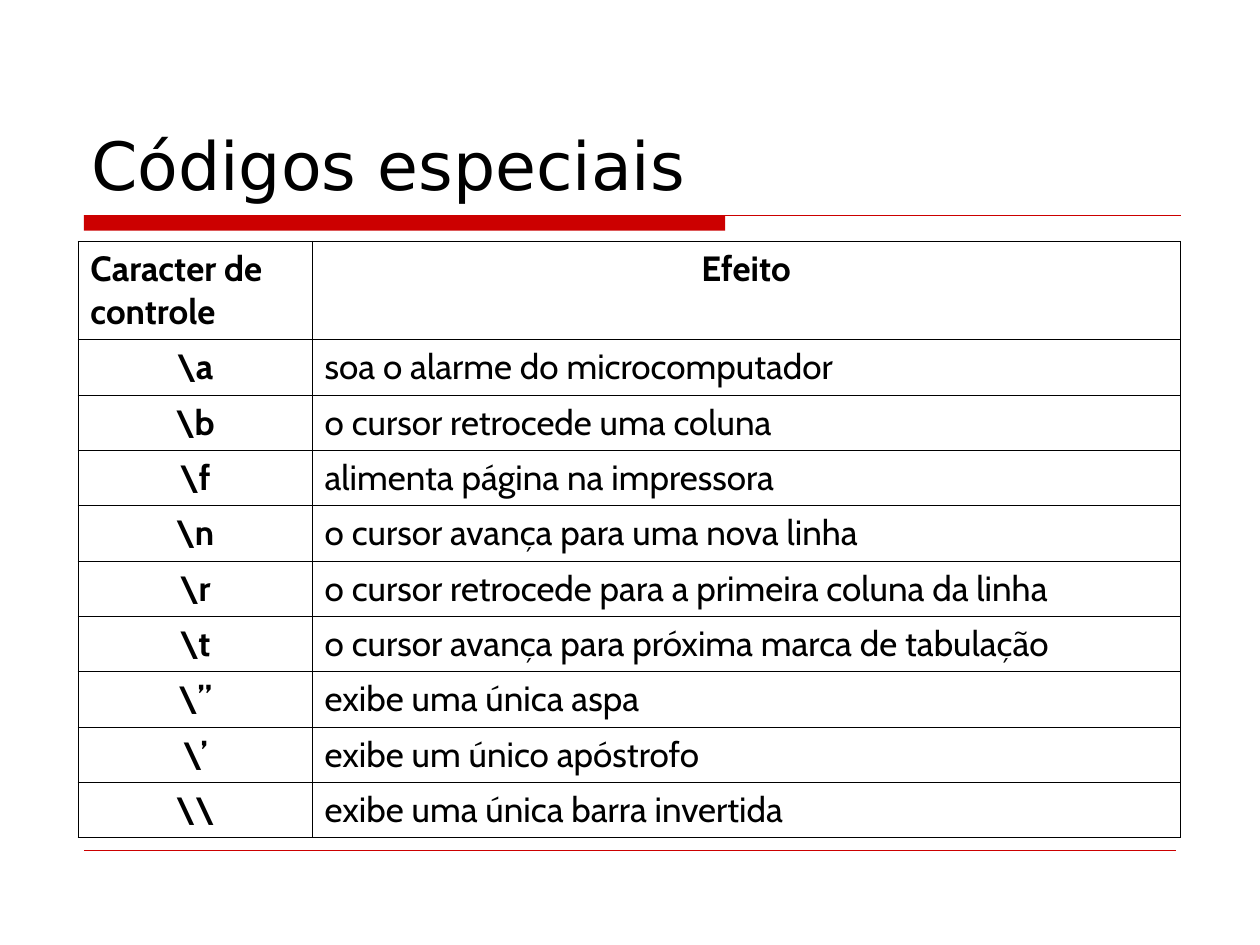
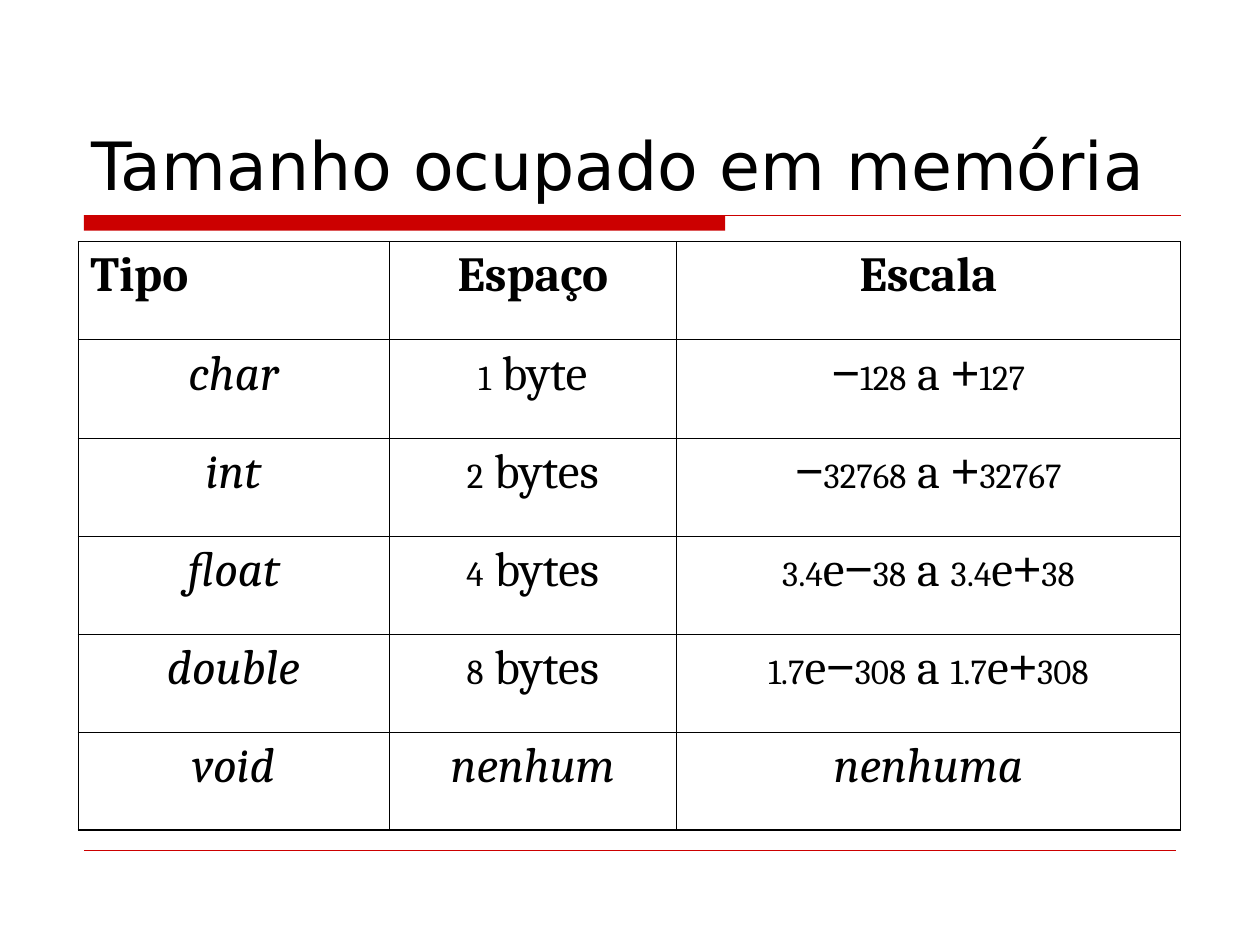
"""Build two slides on C escape codes and the memory taken by C types."""
import itertools
from dataclasses import dataclass, replace

import pptx
import pptx.dml.color
import pptx.enum.shapes
import pptx.enum.text
import pptx.oxml
import pptx.oxml.ns
import pptx.util
from lxml import etree

Cm = pptx.util.Cm
Pt = pptx.util.Pt
Align = pptx.enum.text.PP_ALIGN

BLACK = pptx.dml.color.RGBColor(0x00, 0x00, 0x00)
WHITE = pptx.dml.color.RGBColor(0xFF, 0xFF, 0xFF)
RED = pptx.dml.color.RGBColor(0xCC, 0x00, 0x00)

OUTER_RULE, HEADER_RULE, INNER_RULE = Pt(0.96), Pt(0.45), Pt(0.34)
TABLE_LEFT, TABLE_TOP, HEADER_HEIGHT = Cm(1.57), Cm(4.87), Cm(1.98)


@dataclass(frozen=True)
class Style:
    """Character formatting of a run."""
    font: str
    size: float
    bold: bool = False
    italic: bool = False


@dataclass(frozen=True)
class Piece:
    """A run of text with its style."""
    text: str
    style: Style


@dataclass(frozen=True)
class Entry:
    """The content of one table cell."""
    pieces: list[Piece]
    align: Align = Align.CENTER


@dataclass(frozen=True)
class Rule:
    """A horizontal red rule."""
    left: float
    right: float
    top: float
    weight: float


@dataclass(frozen=True)
class Topic:
    """One slide: a title over a table."""
    title: str
    widths: list[float]
    body_height: float
    rows: list[list[Entry]]


TITLE = Style("DejaVu Sans", 38)
CODE_TEXT = Style("Cabin", 20)
CODE_BOLD = replace(CODE_TEXT, bold=True)
TYPE_TEXT = Style("Cambria", 28)
TYPE_BOLD = replace(TYPE_TEXT, bold=True)
TYPE_ITALIC = replace(TYPE_TEXT, italic=True)
NUMBER = Style("Cambria", 20)
SIGN = Style("Arial", 28)

RULES = [Rule(1.69, 23.81, 4.34, 0.75), Rule(1.69, 23.7, 17.15, 0.25)]

CODES = [
    ("\\a", "soa o alarme do microcomputador"),
    ("\\b", "o cursor retrocede uma coluna"),
    ("\\f", "alimenta página na impressora"),
    ("\\n", "o cursor avança para uma nova linha"),
    ("\\r", "o cursor retrocede para a primeira coluna da linha"),
    ("\\t", "o cursor avança para próxima marca de tabulação"),
    ("\\”", "exibe uma única aspa"),
    ("\\’", "exibe um único apóstrofo"),
    ("\\\\", "exibe uma única barra invertida"),
]

TYPES = [
    ("char", "1 byte", "−128 a +127"),
    ("int", "2 bytes", "−32768 a +32767"),
    ("float", "4 bytes", "3.4e−38 a 3.4e+38"),
    ("double", "8 bytes", "1.7e−308 a 1.7e+308"),
]


def plain(text: str, style: Style, align: Align = Align.CENTER) -> Entry:
    """Return an entry made of one run."""
    return Entry([Piece(text, style)], align)


def symbol_style(symbol: str) -> Style:
    """Return the style of a symbol in a measured value."""
    if symbol in "−+":
        return SIGN
    return NUMBER if symbol.isdigit() or symbol == "." else TYPE_TEXT


def measure(text: str) -> Entry:
    """Return an entry with digits, signs and words styled apart."""
    groups = itertools.groupby(text, symbol_style)
    return Entry([Piece("".join(symbols), style) for style, symbols in groups])


def write(paragraph, pieces: list[Piece]) -> None:
    """Add the pieces to a paragraph run by run."""
    for piece in pieces:
        run = paragraph.add_run()
        run.text = piece.text
        run.font.name = piece.style.font
        run.font.size = Pt(piece.style.size)
        run.font.bold = piece.style.bold
        run.font.italic = piece.style.italic
        run.font.color.rgb = BLACK


def draw_rule(slide, rule: Rule) -> None:
    """Draw a horizontal rule."""
    line = slide.shapes.add_connector(
        pptx.enum.shapes.MSO_CONNECTOR.STRAIGHT,
        Cm(rule.left), Cm(rule.top), Cm(rule.right), Cm(rule.top))
    line.line.color.rgb = RED
    line.line.width = Pt(rule.weight)
    properties = line._element.spPr
    etree.SubElement(properties, pptx.oxml.ns.qn("a:effectLst"))


def draw_frame(slide, title: str) -> None:
    """Draw the band, the rules and the title of a slide."""
    band = slide.shapes.add_shape(
        pptx.enum.shapes.MSO_SHAPE.RECTANGLE,
        Cm(1.69), Cm(4.34), Cm(12.93), Cm(0.31))
    band.shadow.inherit = False
    band.fill.solid()
    band.fill.fore_color.rgb = RED
    band.line.fill.background()
    for rule in RULES:
        draw_rule(slide, rule)
    heading = slide.shapes.add_textbox(Cm(1.59), Cm(0.85), Cm(22.23), Cm(3.39))
    frame = heading.text_frame
    frame.word_wrap = True
    frame.vertical_anchor = pptx.enum.text.MSO_ANCHOR.BOTTOM
    write(frame.paragraphs[0], [Piece(title, TITLE)])


def draw_border(cell, side: str, width: int) -> None:
    """Add one black border to a cell."""
    cell._tc.get_or_add_tcPr().append(pptx.oxml.parse_xml(
        f'<a:ln{side} {pptx.oxml.ns.nsdecls("a")} w="{width}"><a:solidFill>'
        f'<a:srgbClr val="{BLACK}"/></a:solidFill></a:ln{side}>'))


def draw_table(slide, topic: Topic) -> None:
    """Draw the table of a topic."""
    count = len(topic.rows)
    table = slide.shapes.add_table(
        count, len(topic.widths), TABLE_LEFT, TABLE_TOP,
        Cm(sum(topic.widths)), HEADER_HEIGHT + Cm(topic.body_height)).table
    table.first_row = table.horz_banding = False
    for column, width in zip(table.columns, topic.widths):
        column.width = Cm(width)
    levels = [OUTER_RULE, HEADER_RULE, *[INNER_RULE] * (count - 2), OUTER_RULE]
    for index, entries in enumerate(topic.rows):
        body_row = Cm(topic.body_height) // (count - 1)
        table.rows[index].height = body_row if index else HEADER_HEIGHT
        borders = {"L": INNER_RULE, "R": INNER_RULE,
                   "T": levels[index], "B": levels[index + 1]}
        for cell, entry in zip(table.rows[index].cells, entries):
            for side, width in borders.items():
                draw_border(cell, side, width)
            cell.fill.solid()
            cell.fill.fore_color.rgb = WHITE
            paragraph = cell.text_frame.paragraphs[0]
            paragraph.alignment = entry.align
            write(paragraph, entry.pieces)


def list_topics() -> list[Topic]:
    """Return the topics in slide order."""
    code_rows = [[plain("Caracter de controle", CODE_BOLD, Align.LEFT),
                  plain("Efeito", CODE_BOLD)]]
    code_rows += [[plain(code, CODE_BOLD), plain(effect, CODE_TEXT, Align.JUSTIFY)]
                  for code, effect in CODES]
    type_rows = [[plain("Tipo", TYPE_BOLD, Align.LEFT),
                  plain("Espaço", TYPE_BOLD), plain("Escala", TYPE_BOLD)]]
    type_rows += [[plain(name, TYPE_ITALIC), measure(space), measure(scale)]
                  for name, space, scale in TYPES]
    type_rows.append([plain(word, TYPE_ITALIC)
                      for word in ("void", "nenhum", "nenhuma")])
    return [
        Topic("Códigos especiais", [4.72, 17.5], 10.04, code_rows),
        Topic("Tamanho ocupado em memória", [6.27, 5.8, 10.15], 9.88, type_rows),
    ]


def main() -> None:
    """Build and save the presentation."""
    deck = pptx.Presentation()
    deck.slide_width, deck.slide_height = Cm(25.4), Cm(19.05)
    for topic in list_topics():
        slide = deck.slides.add_slide(deck.slide_layouts[6])
        draw_frame(slide, topic.title)
        draw_table(slide, topic)
    deck.save("out.pptx")


if __name__ == "__main__":
    main()
